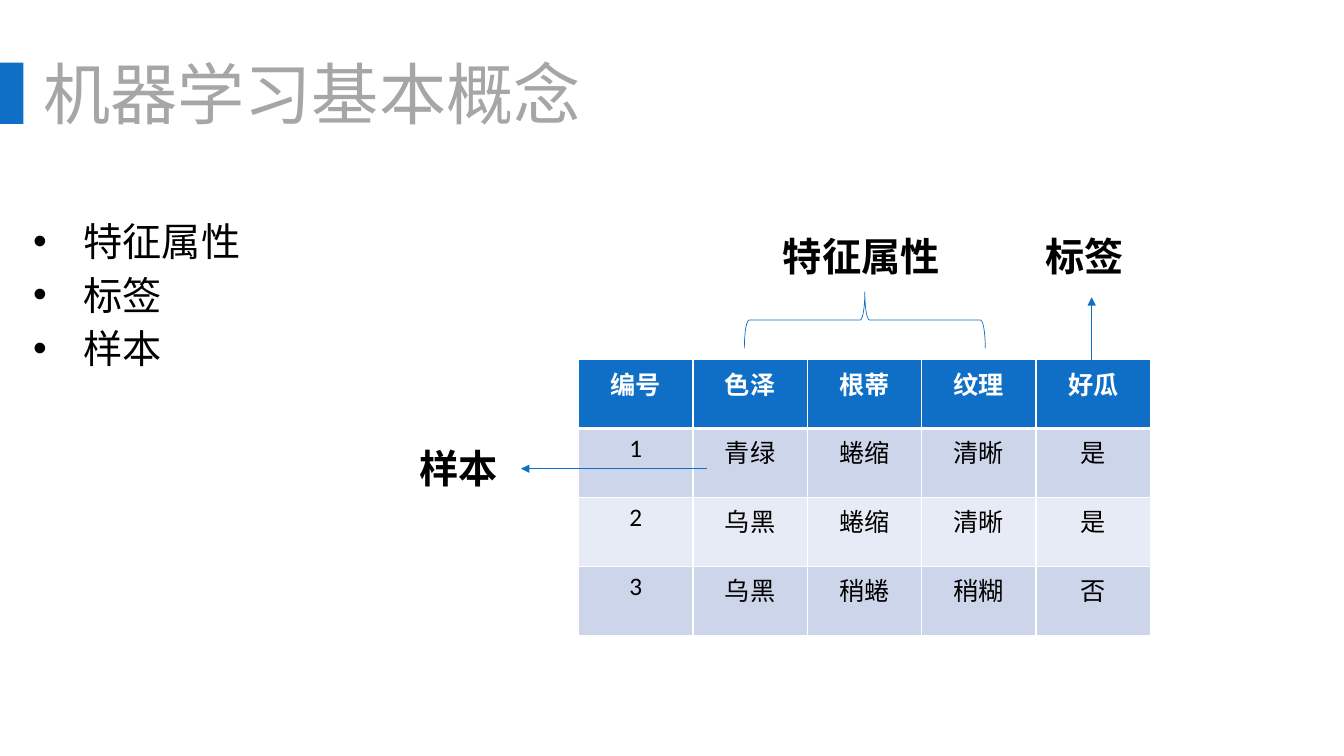
from dataclasses import dataclass

from lxml.etree import SubElement
from pptx import Presentation
from pptx.dml.color import RGBColor
from pptx.enum.shapes import MSO_CONNECTOR, MSO_SHAPE
from pptx.enum.text import MSO_AUTO_SIZE, PP_ALIGN
from pptx.oxml import parse_xml
from pptx.oxml.ns import nsdecls, qn
from pptx.util import Pt


@dataclass(frozen=True)
class Theme:
    accent: str = "0F6FC6"
    title: str = "A6A6A6"
    text: str = "000000"
    white: str = "FFFFFF"
    bands: tuple[str, str] = ("CCD5EA", "E7EBF5")
    latin: str = "Calibri"
    cjk: str = "Noto Sans CJK SC"
    title_size: float = 48
    body_size: float = 28
    cell_size: float = 18
    line: float = 0.5
    border: float = 1
    header_border: float = 3


@dataclass(frozen=True)
class Label:
    text: str
    left: float
    top: float
    width: float


@dataclass(frozen=True)
class Arrow:
    x1: float
    y1: float
    x2: float
    y2: float


T = Theme()
TITLE = "机器学习基本概念"
CONCEPTS = ["特征属性", "标签", "样本"]
LABELS = [
    Label("特征属性", 552.2, 162.7, 130.3),
    Label("标签", 739.4, 162.7, 80.6),
    Label("样本", 292.3, 313.9, 80.6),
]
ARROWS = [Arrow(779.8, 257, 779.8, 212.4), Arrow(504.7, 334.8, 372.2, 334.8)]
MELONS = [
    ["编号", "色泽", "根蒂", "纹理", "好瓜"],
    ["1", "青绿", "蜷缩", "清晰", "是"],
    ["2", "乌黑", "蜷缩", "清晰", "是"],
    ["3", "乌黑", "稍蜷", "稍糊", "否"],
]
COL_WIDTH, ROW_HEIGHT = 81.7, 49.2


def rgb(color: str) -> RGBColor:
    return RGBColor.from_string(color)


def add_run(p, text: str, size: float, color: str, font: str, bold: bool = False) -> None:
    r = p.add_run()
    r.text = text
    r.font.size = Pt(size)
    r.font.bold = bold
    r.font.color.rgb = rgb(color)
    r.font.name = font
    SubElement(r.font._element, qn("a:ea"), typeface=T.cjk)


def add_text_frame(slide, left: float, top: float, width: float, height: float, wrap: bool):
    tf = slide.shapes.add_textbox(Pt(left), Pt(top), Pt(width), Pt(height)).text_frame
    tf.word_wrap = wrap
    tf.auto_size = MSO_AUTO_SIZE.SHAPE_TO_FIT_TEXT
    return tf


def add_title(slide) -> None:
    bar = slide.shapes.add_shape(MSO_SHAPE.RECTANGLE, 0, Pt(44.8), Pt(16.8), Pt(43.8))
    bar.shadow.inherit = False
    bar.fill.solid()
    bar.fill.fore_color.rgb = rgb(T.accent)
    bar.line.fill.background()
    tf = add_text_frame(slide, 30.8, 37.4, 388, 58.2, wrap=False)
    tf.margin_left = tf.margin_top = tf.margin_right = tf.margin_bottom = 0
    add_run(tf.paragraphs[0], TITLE, T.title_size, T.title, T.cjk)


def add_concepts(slide) -> None:
    tf = add_text_frame(slide, 16.6, 147.6, 164.2, 122.4, wrap=False)
    for i, concept in enumerate(CONCEPTS):
        p = tf.add_paragraph() if i else tf.paragraphs[0]
        p.line_spacing = Pt(38)
        pPr = p._p.get_or_add_pPr()
        pPr.set("marL", str(Pt(36)))
        pPr.set("indent", str(-Pt(36)))
        SubElement(pPr, qn("a:buFont"), typeface="Arial")
        SubElement(pPr, qn("a:buChar"), char="•")
        add_run(p, concept, T.body_size, T.text, T.cjk)


def add_label(slide, label: Label) -> None:
    tf = add_text_frame(slide, label.left, label.top, label.width, 41, wrap=True)
    add_run(tf.paragraphs[0], label.text, T.body_size, T.text, T.latin, bold=True)


def add_brace(slide) -> None:
    """Right brace turned to open downwards over the feature columns."""
    sp = slide.shapes.add_shape(MSO_SHAPE.RIGHT_BRACE, Pt(597.6), Pt(142.6), Pt(40.3), Pt(172.1))
    sp.rotation = 270
    sp.shadow.inherit = False
    sp.fill.background()
    sp.line.color.rgb = rgb(T.accent)
    sp.line.width = Pt(T.line)


def add_arrow(slide, a: Arrow) -> None:
    cxn = slide.shapes.add_connector(
        MSO_CONNECTOR.STRAIGHT, Pt(a.x1), Pt(a.y1), Pt(a.x2), Pt(a.y2))
    cxn.line.color.rgb = rgb(T.accent)
    cxn.line.width = Pt(T.line)
    SubElement(cxn.line._get_or_add_ln(), qn("a:tailEnd"), type="triangle")
    SubElement(cxn._element.spPr, qn("a:effectLst"))


def set_borders(cell, top: float, bottom: float) -> None:
    widths = {"lnL": T.border, "lnR": T.border, "lnT": top, "lnB": bottom}
    tcPr = cell._tc.get_or_add_tcPr()
    for i, (side, width) in enumerate(widths.items()):
        tcPr.insert(i, parse_xml(
            f'<a:{side} {nsdecls("a")} w="{Pt(width)}"><a:solidFill>'
            f'<a:srgbClr val="{T.white}"/></a:solidFill></a:{side}>'))


def add_melon_table(slide) -> None:
    rows, cols = len(MELONS), len(MELONS[0])
    table = slide.shapes.add_table(
        rows, cols, Pt(413.3), Pt(257), Pt(cols * COL_WIDTH), Pt(rows * ROW_HEIGHT)).table
    for col in table.columns:
        col.width = Pt(COL_WIDTH)
    for i, melon in enumerate(MELONS):
        table.rows[i].height = Pt(ROW_HEIGHT)
        header = i == 0
        for j, value in enumerate(melon):
            cell = table.cell(i, j)
            cell.fill.solid()
            cell.fill.fore_color.rgb = rgb(T.accent if header else T.bands[(i - 1) % 2])
            set_borders(cell,
                        top=T.header_border if i == 1 else T.border,
                        bottom=T.header_border if header else T.border)
            p = cell.text_frame.paragraphs[0]
            p.alignment = PP_ALIGN.CENTER
            add_run(p, value, T.cell_size, T.white if header else T.text, T.latin, bold=header)


def main() -> None:
    prs = Presentation()
    prs.slide_width, prs.slide_height = Pt(960), Pt(540)
    slide = prs.slides.add_slide(prs.slide_layouts[6])
    add_title(slide)
    add_melon_table(slide)
    add_concepts(slide)
    add_brace(slide)
    for arrow in ARROWS:
        add_arrow(slide, arrow)
    for label in LABELS:
        add_label(slide, label)
    prs.save("out.pptx")


if __name__ == "__main__":
    main()
